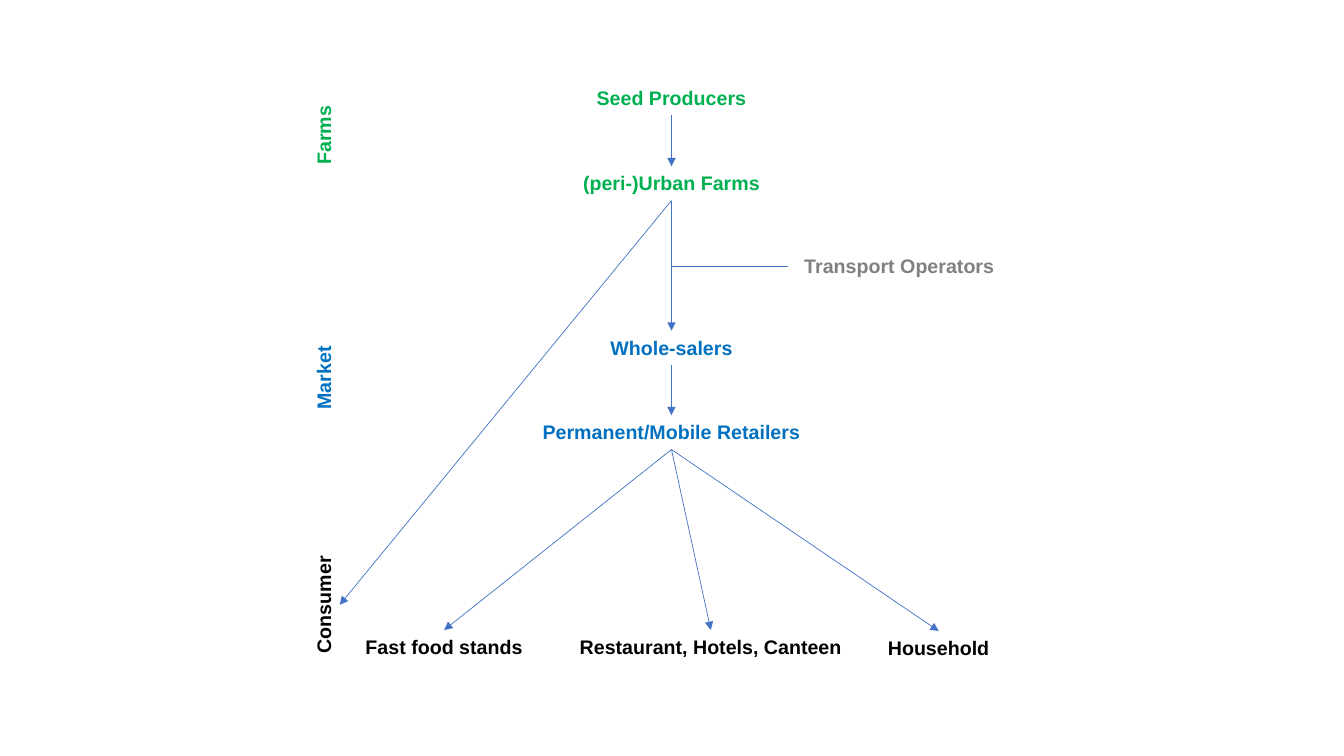
import pptx
import pptx.util
import pptx.dml.color
import pptx.enum.shapes
import pptx.enum.text
from lxml import etree

Inches = pptx.util.Inches
Align = pptx.enum.text.PP_ALIGN
GREEN, BLUE, GRAY, BLACK, LINE = "00B050", "0070C0", "808080", "000000", "4472C4"
HIGH = 0.34
TOP, LEFT, BOTTOM = 0, 1, 2

# key: text, left, top, width, colour
LABELS = {
    "seed": ("Seed Producers", 3.37, 0.8, 6.58, GREEN),
    "urban": ("(peri-)Urban Farms", 3.37, 1.65, 6.58, GREEN),
    "moving": ("Transport Operators", 7.82, 2.47, 2.14, GRAY),
    "whole": ("Whole-salers", 3.37, 3.28, 6.58, BLUE),
    "retail": ("Permanent/Mobile Retailers", 3.37, 4.12, 6.58, BLUE),
    "food": ("Fast food stands", 3.37, 6.25, 2.07, BLACK),
    "hotel": ("Restaurant, Hotels, Canteen", 5.57, 6.25, 2.96, BLACK),
    "house": ("Household", 8.66, 6.26, 1.3, BLACK),
}
# text, middle height, length, colour
STAGES = [
    ("Farms", 1.34, 0.94, GREEN),
    ("Market", 3.75, 1.11, BLUE),
    ("Consumer", 6.0, 1.3, BLACK),
]
STAGE_X = 3.21
FLOWS = [
    ("seed", "urban"), ("urban", "whole"), ("whole", "retail"),
    ("retail", "food"), ("retail", "hotel"), ("retail", "house"),
]
JOINT = (6.67, 2.64)
DIRECT = (3.37, 6.0)


def paint(color, tone):
    color.rgb = pptx.dml.color.RGBColor.from_string(tone)


def label(slide, text, left, top, width, tone, align=Align.CENTER, turn=0):
    box = slide.shapes.add_textbox(
        Inches(left), Inches(top), Inches(width), Inches(HIGH))
    box.rotation = turn
    box.text_frame.word_wrap = True
    para = box.text_frame.paragraphs[0]
    para.text = text
    para.alignment = align
    font = para.runs[0].font
    style = {"name": "Arial", "size": pptx.util.Pt(14), "bold": True}
    for name, value in style.items():
        setattr(font, name, value)
    paint(font.color, tone)
    return box


def link(slide, start, side, end, arrow=True):
    """Join a side of a box to the top of another box or to an (x, y) point."""
    free = isinstance(end, tuple)
    x, y = end if free else (0, 0)
    wire = slide.shapes.add_connector(
        pptx.enum.shapes.MSO_CONNECTOR.STRAIGHT, 0, 0, Inches(x), Inches(y))
    wire.begin_connect(start, side)
    if not free:
        wire.end_connect(end, TOP)
    wire.line.width = pptx.util.Pt(0.5)
    paint(wire.line.color, LINE)
    space = "{http://schemas.openxmlformats.org/drawingml/2006/main}"
    if arrow:
        etree.SubElement(
            wire.line._get_or_add_ln(), space + "tailEnd", type="triangle")
    etree.SubElement(wire._element.spPr, space + "effectLst")


def main():
    deck = pptx.Presentation()
    deck.slide_width, deck.slide_height = Inches(13.33), Inches(7.5)
    slide = deck.slides.add_slide(deck.slide_layouts[6])

    boxes = {}
    for key, parts in LABELS.items():
        align = Align.RIGHT if key == "moving" else Align.CENTER
        boxes[key] = label(slide, *parts, align=align)
    for start, end in FLOWS:
        link(slide, boxes[start], BOTTOM, boxes[end])
    link(slide, boxes["moving"], LEFT, JOINT, arrow=False)

    for text, mid, span, tone in STAGES:
        label(slide, text, STAGE_X - span / 2, mid - HIGH / 2, span, tone, turn=270)
    link(slide, boxes["urban"], BOTTOM, DIRECT)

    deck.save("out.pptx")


if __name__ == "__main__":
    main()
